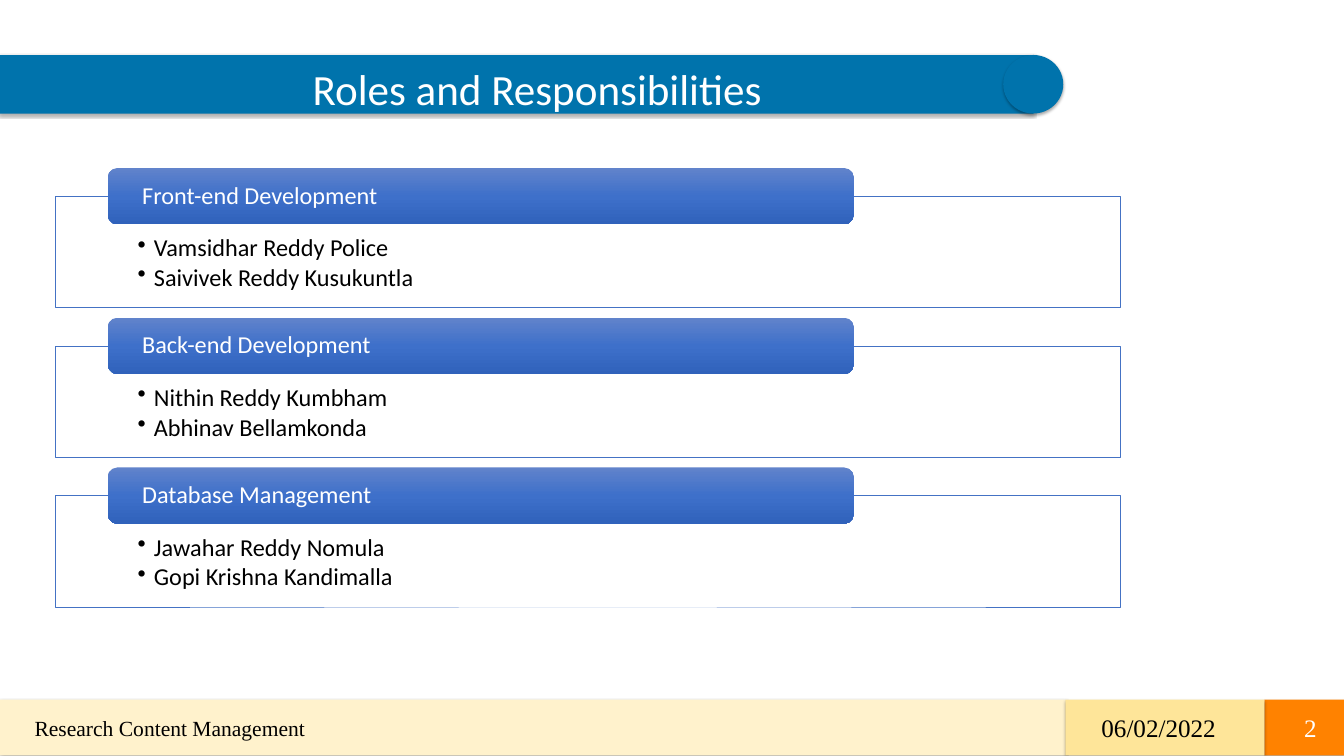
from dataclasses import dataclass

from lxml import etree
from pptx import Presentation
from pptx.dml.color import RGBColor
from pptx.enum.shapes import MSO_SHAPE
from pptx.enum.text import MSO_ANCHOR, MSO_AUTO_SIZE, PP_ALIGN
from pptx.oxml.ns import qn
from pptx.util import Cm, Pt

RECTANGLE, ROUNDED, OVAL = MSO_SHAPE.RECTANGLE, MSO_SHAPE.ROUNDED_RECTANGLE, MSO_SHAPE.OVAL
TOP, MIDDLE = MSO_ANCHOR.TOP, MSO_ANCHOR.MIDDLE
LEFT, CENTER, RIGHT = PP_ALIGN.LEFT, PP_ALIGN.CENTER, PP_ALIGN.RIGHT
NO_AUTOSIZE = MSO_AUTO_SIZE.NONE


@dataclass(frozen=True)
class Theme:
    """Colours, fonts and type sizes of the slide."""
    white: str = "FFFFFF"
    black: str = "000000"
    title_band: str = "0073AC"
    panel_line: str = "4472C4"
    tab_gradient: tuple = ((0, "6183CB"), (50, "3E70CA"), (100, "3062BB"))
    footer_name: str = "FFF2CC"
    footer_date: str = "FEE599"
    footer_number: str = "FF8200"
    sans: str = "Calibri"
    serif: str = "Times New Roman"
    title_size: int = 48
    role_size: int = 27
    name_size: int = 24
    date_size: int = 28


THEME = Theme()
SLIDE_WIDTH, SLIDE_HEIGHT = 52.81, 29.69
ROLES = (
    ("Front-end Development", ("Vamsidhar Reddy Police", "Saivivek Reddy Kusukuntla")),
    ("Back-end Development", ("Nithin Reddy Kumbham", "Abhinav Bellamkonda")),
    ("Database Management", ("Jawahar Reddy Nomula", "Gopi Krishna Kandimalla")),
)


def fill_solid(shape, color):
    """Give a shape a plain fill."""
    shape.fill.solid()
    shape.fill.fore_color.rgb = RGBColor.from_string(color)


def add_shape(slide, kind, box, color):
    """Add a filled shape without outline or shadow."""
    shape = slide.shapes.add_shape(kind, *map(Cm, box))
    shape.shadow.inherit = False
    fill_solid(shape, color)
    shape.line.fill.background()
    return shape


def add_shadow(shape):
    """Give a shape a soft shadow below it."""
    shape.shadow.inherit = False
    effects = shape._element.spPr.find(qn("a:effectLst"))
    shadow = etree.SubElement(effects, qn("a:outerShdw"), blurRad=str(Pt(3.5)),
                              dist=str(Pt(2.2)), dir="5400000", rotWithShape="0")
    color = etree.SubElement(shadow, qn("a:srgbClr"), val=THEME.black)
    etree.SubElement(color, qn("a:alpha"), val="32000")


def fill_gradient(shape, stops):
    """Fill a shape from top to bottom with the given colour stops."""
    shape.fill.gradient()
    shape.fill.gradient_angle = 270
    stop_list = shape._element.spPr.find(qn("a:gradFill")).find(qn("a:gsLst"))
    for stop in list(stop_list):
        stop_list.remove(stop)
    for position, color in stops:
        stop = etree.SubElement(stop_list, qn("a:gs"), pos=str(position * 1000))
        etree.SubElement(stop, qn("a:srgbClr"), val=color)


def set_frame(shape, margins, anchor):
    """Set margins (left, top, right, bottom) and anchor, and return the text frame."""
    frame = shape.text_frame
    frame.word_wrap = True
    frame.auto_size = NO_AUTOSIZE
    frame.vertical_anchor = anchor
    frame.margin_left, frame.margin_top, frame.margin_right, frame.margin_bottom = map(Cm, margins)
    return frame


def write(paragraph, text, font, size, color, alignment=LEFT):
    """Add one formatted run to a paragraph."""
    paragraph.alignment = alignment
    run = paragraph.add_run()
    run.text = text
    run.font.name = font
    run.font.size = Pt(size)
    run.font.color.rgb = RGBColor.from_string(color)


def add_bullet(paragraph):
    """Give a paragraph a hanging round bullet."""
    properties = paragraph._p.get_or_add_pPr()
    properties.set("marL", str(Cm(0.64)))
    properties.set("indent", str(-Cm(0.64)))
    etree.SubElement(properties, qn("a:buChar"), char="•")


def build_title(slide, box):
    """Turn the title placeholder into a band with a round cap at its right end."""
    left, top, width, height = box
    cap = 2.36
    title = slide.shapes.title
    title.left, title.top, title.width, title.height = map(
        Cm, (left, top, width - cap / 2, height))
    fill_solid(title, THEME.title_band)
    add_shadow(title)
    frame = set_frame(title, (1.7, 0.3, 0, 0), TOP)
    paragraph = frame.paragraphs[0]
    paragraph.line_spacing = 1.0
    paragraph.space_before = Pt(0)
    write(paragraph, "Roles and Responsibilities", THEME.sans,
          THEME.title_size, THEME.white, CENTER)
    add_shadow(add_shape(slide, OVAL, (left + width - cap, top, cap, height), THEME.title_band))


def build_role(slide, box, role, people):
    """Place an outlined panel of people with the role on a tab over its top edge."""
    left, top, width, height = box
    tab_height = 2.21
    panel_top = top + tab_height / 2
    panel = add_shape(slide, RECTANGLE, (left, panel_top, width, height - tab_height / 2),
                      THEME.white)
    fill_color = panel._element.spPr.find(qn("a:solidFill"))[0]
    etree.SubElement(fill_color, qn("a:alpha"), val="90000")
    panel.line.color.rgb = RGBColor.from_string(THEME.panel_line)
    panel.line.width = Pt(0.5)
    frame = set_frame(panel, (3.25, 1.55, 3.25, 0.53), TOP)
    for index, person in enumerate(people):
        paragraph = frame.add_paragraph() if index else frame.paragraphs[0]
        paragraph.line_spacing = 0.9
        paragraph.space_after = Pt(4)
        write(paragraph, person, THEME.sans, THEME.role_size, THEME.black)
        add_bullet(paragraph)

    tab = add_shape(slide, ROUNDED, (left + 2.08, top, width * 0.7, tab_height), THEME.white)
    fill_gradient(tab, THEME.tab_gradient)
    paragraph = set_frame(tab, (1.24, 0, 1.24, 0), MIDDLE).paragraphs[0]
    paragraph.line_spacing = 0.9
    write(paragraph, role, THEME.sans, THEME.role_size, THEME.white)


def build_footer(slide, box):
    """Fill the footer strip with the project name, the date and the slide number."""
    left, top, width, height = box
    name_width, date_width = 41.86, 7.82
    number_width = width - name_width - date_width
    cells = (
        ("Research Content Management", name_width, THEME.footer_name, THEME.name_size,
         THEME.black, LEFT, 1.36),
        ("2", number_width, THEME.footer_number, THEME.date_size, THEME.white, RIGHT, 1.07),
        ("06/02/2022", date_width, THEME.footer_date, THEME.date_size, THEME.black, LEFT, 1.42),
    )
    offsets = (0, name_width + date_width, name_width)
    for offset, (text, cell_width, fill, size, color, alignment, margin) in zip(offsets, cells):
        cell = add_shape(slide, RECTANGLE, (left + offset, top, cell_width, height), fill)
        add_shadow(cell)
        margins = (0, 0, margin, 0) if alignment == RIGHT else (margin, 0, 0, 0)
        paragraph = set_frame(cell, margins, MIDDLE).paragraphs[0]
        write(paragraph, text, THEME.serif, size, color, alignment)


def main():
    """Build the slide and save it."""
    presentation = Presentation()
    presentation.slide_width, presentation.slide_height = Cm(SLIDE_WIDTH), Cm(SLIDE_HEIGHT)
    slide = presentation.slides.add_slide(presentation.slide_layouts[5])
    build_footer(slide, (0, 27.48, SLIDE_WIDTH, 2.19))
    build_title(slide, (-0.08, 2.16, 41.86, 2.3))
    for index, (role, people) in enumerate(ROLES):
        build_role(slide, (2.16, 6.6 + index * 5.88, 41.86, 5.47), role, people)
    presentation.save("out.pptx")


if __name__ == "__main__":
    main()
